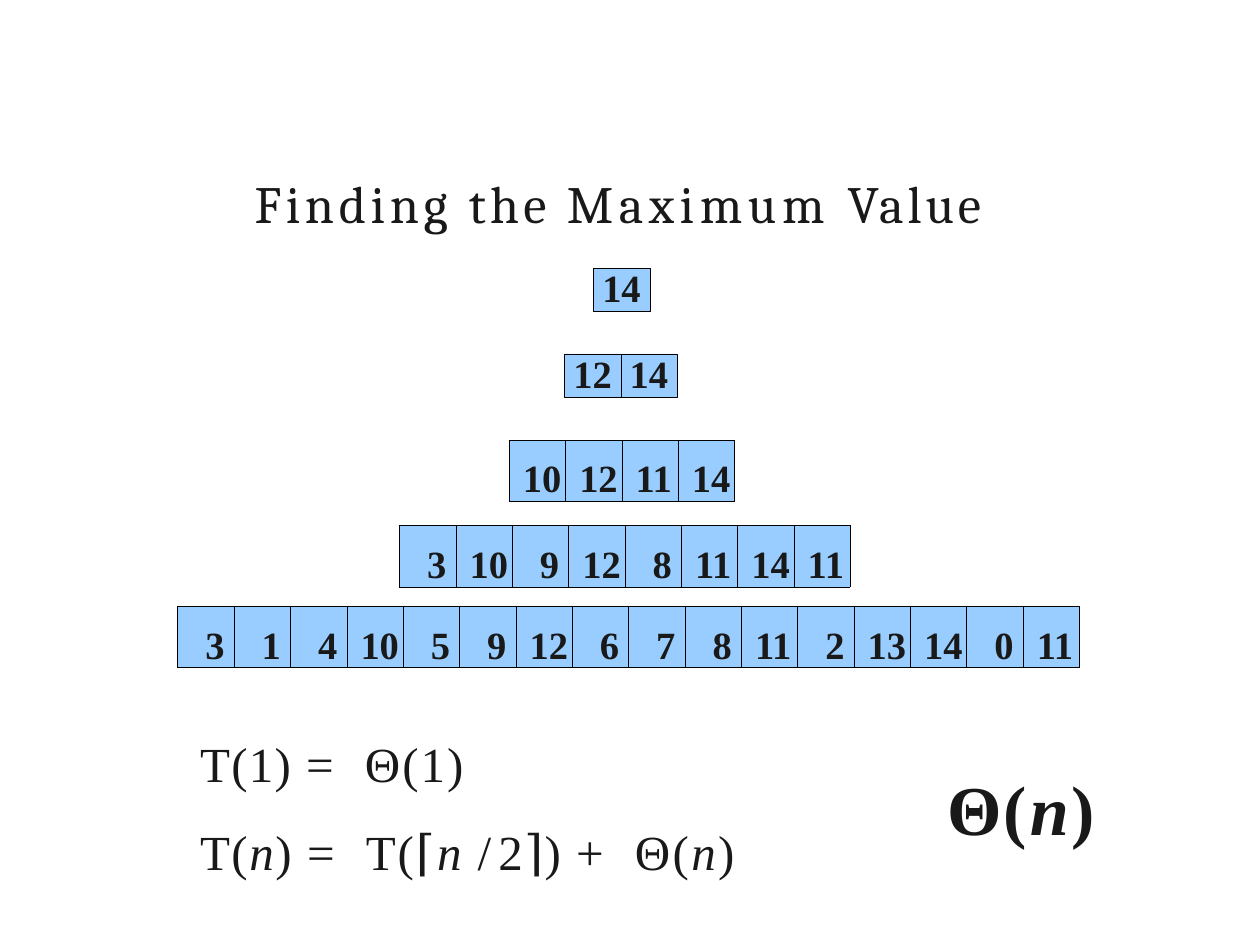
from collections import namedtuple
from dataclasses import dataclass

from lxml.etree import SubElement
from pptx import Presentation
from pptx.dml.color import RGBColor
from pptx.enum.shapes import MSO_SHAPE
from pptx.enum.text import MSO_ANCHOR, MSO_AUTO_SIZE, PP_ALIGN
from pptx.oxml.ns import qn
from pptx.util import Inches, Pt

Box = namedtuple("Box", "left top width height")


@dataclass(frozen=True)
class Theme:
    """Colours, fonts and type sizes of the slide."""
    ink: RGBColor = RGBColor(0x19, 0x19, 0x19)
    cell: RGBColor = RGBColor(0x99, 0xCC, 0xFF)
    border: RGBColor = RGBColor(0, 0, 0)
    border_width: Pt = Pt(0.25)
    heading_font: str = "Cambria"
    text_font: str = "Times New Roman"
    heading: Pt = Pt(29.9)
    value: Pt = Pt(22)
    equation: Pt = Pt(28)
    result: Pt = Pt(40)


THEME = Theme()
CELL_WIDTH = Inches(7.16) // 16
CELL_HEIGHT = Inches(0.34)

TITLE = [("Finding ", 2.7), ("the ", 2.5), ("Maximum ", 3.2), ("Value", 2.2)]
BASE_CASE = [("T(1) ", 0.8), ("= ", 5.4), ("Θ(1)", 1.2)]
RECURRENCE = [("T(", 0.9), ("n", 0.9), (") ", 0.9), ("= ", 5.4), ("T(⌈", 1.1),
              ("n ", 1.1), ("/ ", -2.9), ("2⌉) ", 0.8), ("+ ", 5.4),
              ("Θ(", 1.4), ("n", 1.4), (")", 1.4)]
RESULT = [("Θ(", 1.4), ("n", 1.4), (")", 1.4)]

SMALL_LEVELS = [
    (4.71, 2.13, [14]),
    (4.48, 2.81, [12, 14]),
]
WIDE_LEVELS = [
    (4.04, 3.49, [10, 12, 11, 14]),
    (3.17, 4.17, [3, 10, 9, 12, 8, 11, 14, 11]),
    (1.41, 4.81, [3, 1, 4, 10, 5, 9, 12, 6, 7, 8, 11, 2, 13, 14, 0, 11]),
]


def style_font(font, size, name=THEME.text_font, bold=False, italic=False):
    """Apply the theme ink with the given face and size."""
    font.name, font.size = name, size
    font.bold, font.italic = bold, italic
    font.color.rgb = THEME.ink


def indent(paragraph, amount):
    """Set the left margin of a paragraph."""
    properties = paragraph._p.get_or_add_pPr()
    properties.set("marL", str(amount))
    properties.set("indent", "0")


def write_spaced(paragraph, pieces, size, name=THEME.text_font, bold=False):
    """Write letter-spaced runs, with the variable n in italics."""
    paragraph.alignment = PP_ALIGN.LEFT
    for text, spacing in pieces:
        run = paragraph.add_run()
        run.text = text
        style_font(run.font, size, name, bold, text.strip() == "n")
        run._r.get_or_add_rPr().set("spc", str(round(spacing * 100)))


def write_value(frame, value, margin, leading):
    """Write one array value in bold at a fixed left margin."""
    frame.text = str(value)
    paragraph = frame.paragraphs[0]
    paragraph.alignment = PP_ALIGN.LEFT
    indent(paragraph, margin)
    paragraph.line_spacing = leading
    style_font(paragraph.runs[0].font, THEME.value, bold=True)


def clear_margins(owner):
    """Remove the inner margins of a text frame or cell."""
    owner.margin_left = owner.margin_right = 0
    owner.margin_top = owner.margin_bottom = 0


def draw_borders(cell):
    """Outline a table cell with the theme border."""
    properties = cell._tc.get_or_add_tcPr()
    for side in ("a:lnL", "a:lnR", "a:lnT", "a:lnB"):
        line = SubElement(properties, qn(side), w=str(THEME.border_width))
        fill = SubElement(line, qn("a:solidFill"))
        SubElement(fill, qn("a:srgbClr"), val=str(THEME.border))


def place_title(slide, box):
    """Fill the title placeholder."""
    title = slide.shapes.title
    title.left, title.top, title.width, title.height = box
    frame = title.text_frame
    clear_margins(frame)
    frame.vertical_anchor = MSO_ANCHOR.TOP
    frame.auto_size = MSO_AUTO_SIZE.SHAPE_TO_FIT_TEXT
    write_spaced(frame.paragraphs[0], TITLE, THEME.heading, THEME.heading_font)


def place_small_level(slide, box, values):
    """Draw a short level of the tree as adjoining boxes."""
    width = box.width // len(values)
    for column, value in enumerate(values):
        node = slide.shapes.add_shape(MSO_SHAPE.RECTANGLE, box.left + column * width,
                                      box.top, width, box.height)
        node.shadow.inherit = False
        node.fill.solid()
        node.fill.fore_color.rgb = THEME.cell
        node.line.color.rgb = THEME.border
        node.line.width = THEME.border_width
        clear_margins(node.text_frame)
        node.text_frame.vertical_anchor = MSO_ANCHOR.TOP
        write_value(node.text_frame, value, Inches(0.07), Pt(23.9))


def place_wide_level(slide, box, values):
    """Draw a long level of the tree as a one-row table."""
    level = slide.shapes.add_table(1, len(values), *box).table
    level.first_row = level.horz_banding = False
    for column, value in zip(level.columns, values):
        column.width = box.width // len(values)
    for cell, value in zip(level.rows[0].cells, values):
        clear_margins(cell)
        draw_borders(cell)
        cell.fill.solid()
        cell.fill.fore_color.rgb = THEME.cell
        margin = Inches(0.22 if value < 10 else 0.11)
        write_value(cell.text_frame, value, margin, Pt(35.1))


def place_formulas(slide, box, lines, size, leading, anchor, bold=False):
    """Write lines of mathematics in one text box."""
    frame = slide.shapes.add_textbox(*box).text_frame
    frame.word_wrap = True
    frame.auto_size = MSO_AUTO_SIZE.SHAPE_TO_FIT_TEXT
    frame.vertical_anchor = anchor
    for number, pieces in enumerate(lines):
        paragraph = frame.add_paragraph() if number else frame.paragraphs[0]
        indent(paragraph, Inches(0.08))
        paragraph.line_spacing = leading
        write_spaced(paragraph, pieces, size, bold=bold)


def main():
    """Build and save the slide."""
    deck = Presentation()
    deck.slide_width, deck.slide_height = Inches(10), Inches(7.5)
    slide = deck.slides.add_slide(deck.slide_layouts[5])
    place_title(slide, Box(Inches(2.02), Inches(1.36), Inches(5.97), Inches(0.51)))
    for levels, place in ((WIDE_LEVELS, place_wide_level),
                          (SMALL_LEVELS, place_small_level)):
        for left, top, values in levels:
            place(slide, Box(Inches(left), Inches(top),
                             CELL_WIDTH * len(values), CELL_HEIGHT), values)
    place_formulas(slide, Box(Inches(1.41), Inches(5.54), Inches(5), Inches(1.43)),
                   [BASE_CASE, RECURRENCE], THEME.equation, 1.5, MSO_ANCHOR.TOP)
    place_formulas(slide, Box(Inches(7.34), Inches(6.36), Inches(1.5), Inches(0.46)),
                   [RESULT], THEME.result, Pt(22.5), MSO_ANCHOR.MIDDLE, bold=True)
    deck.save("out.pptx")


if __name__ == "__main__":
    main()
